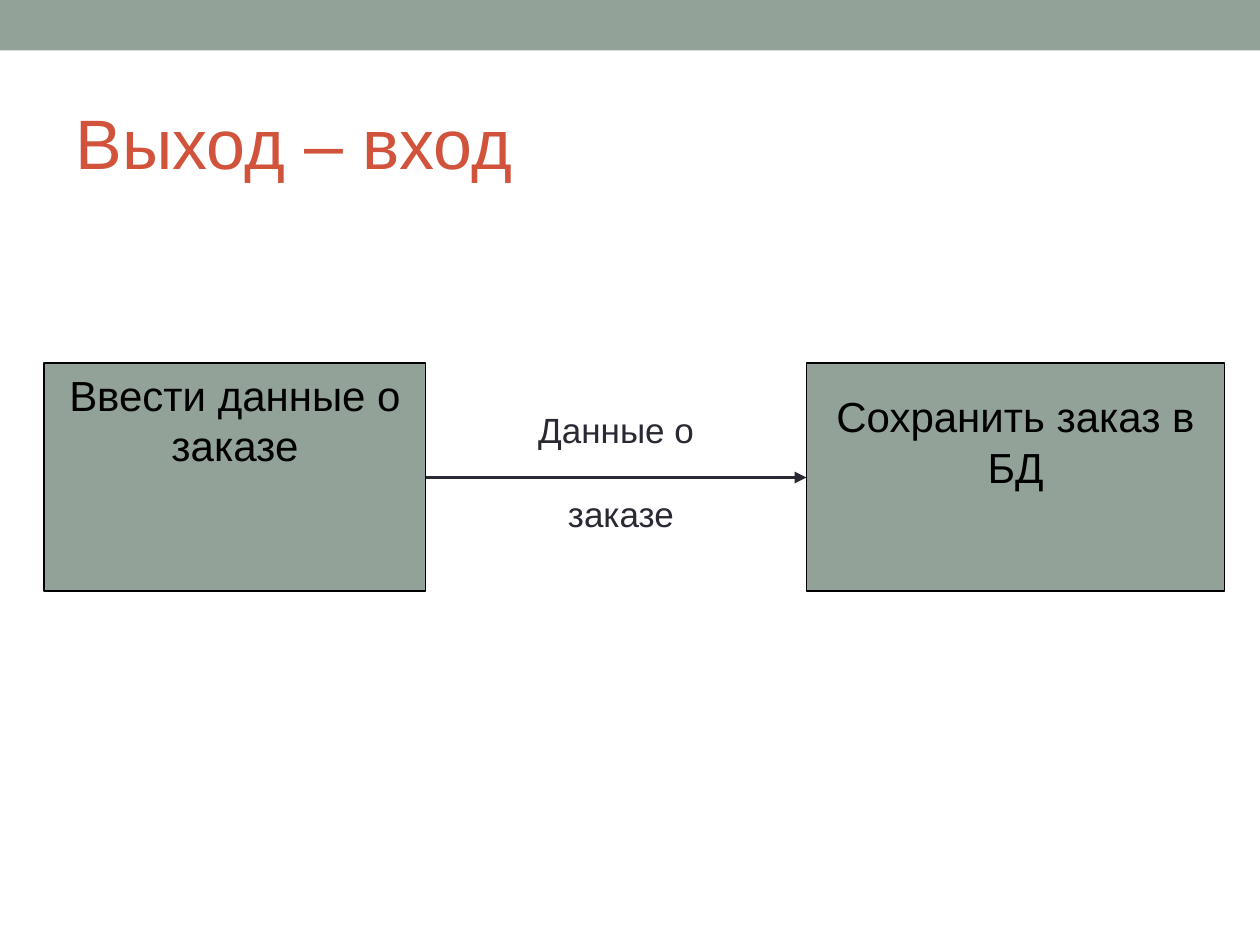
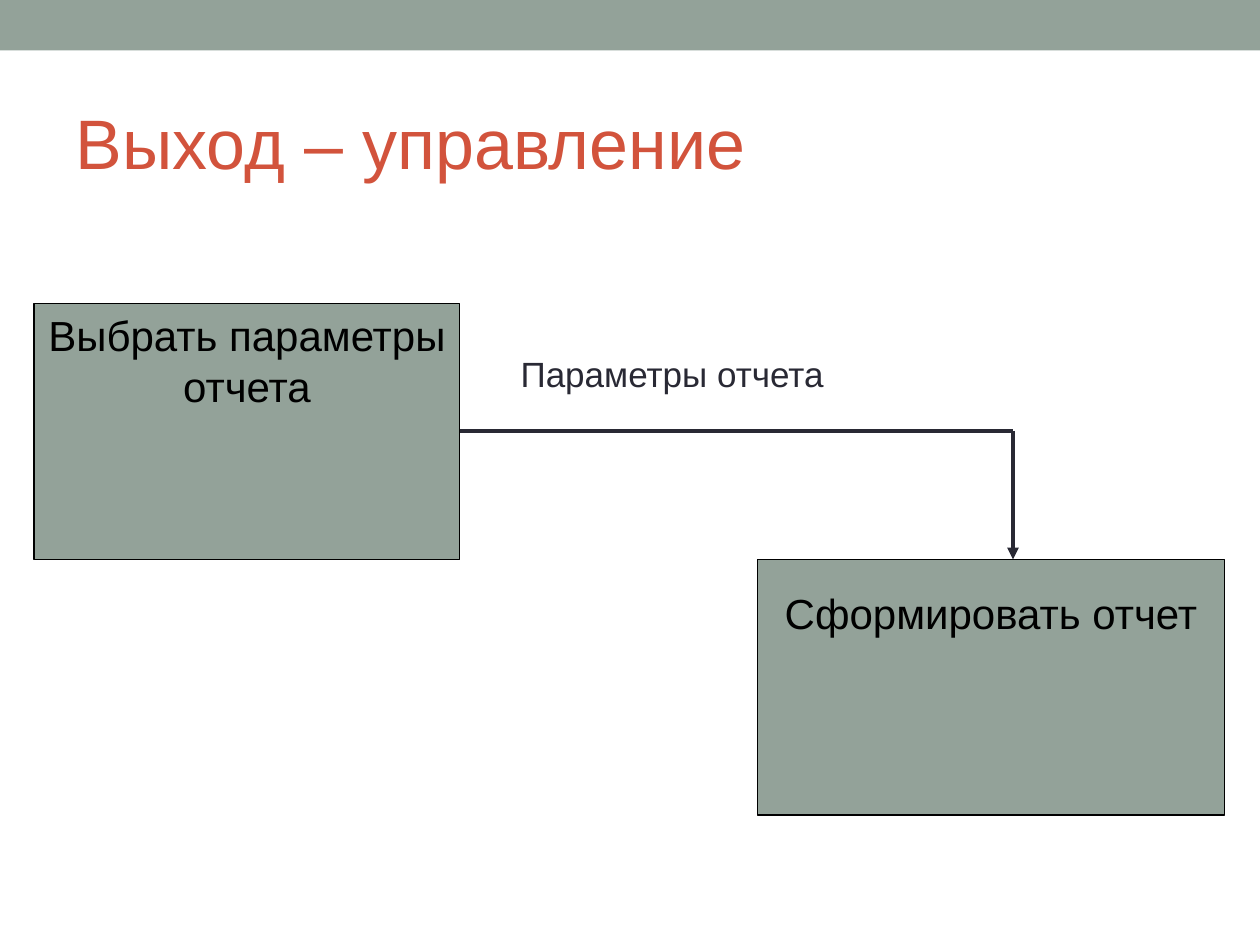
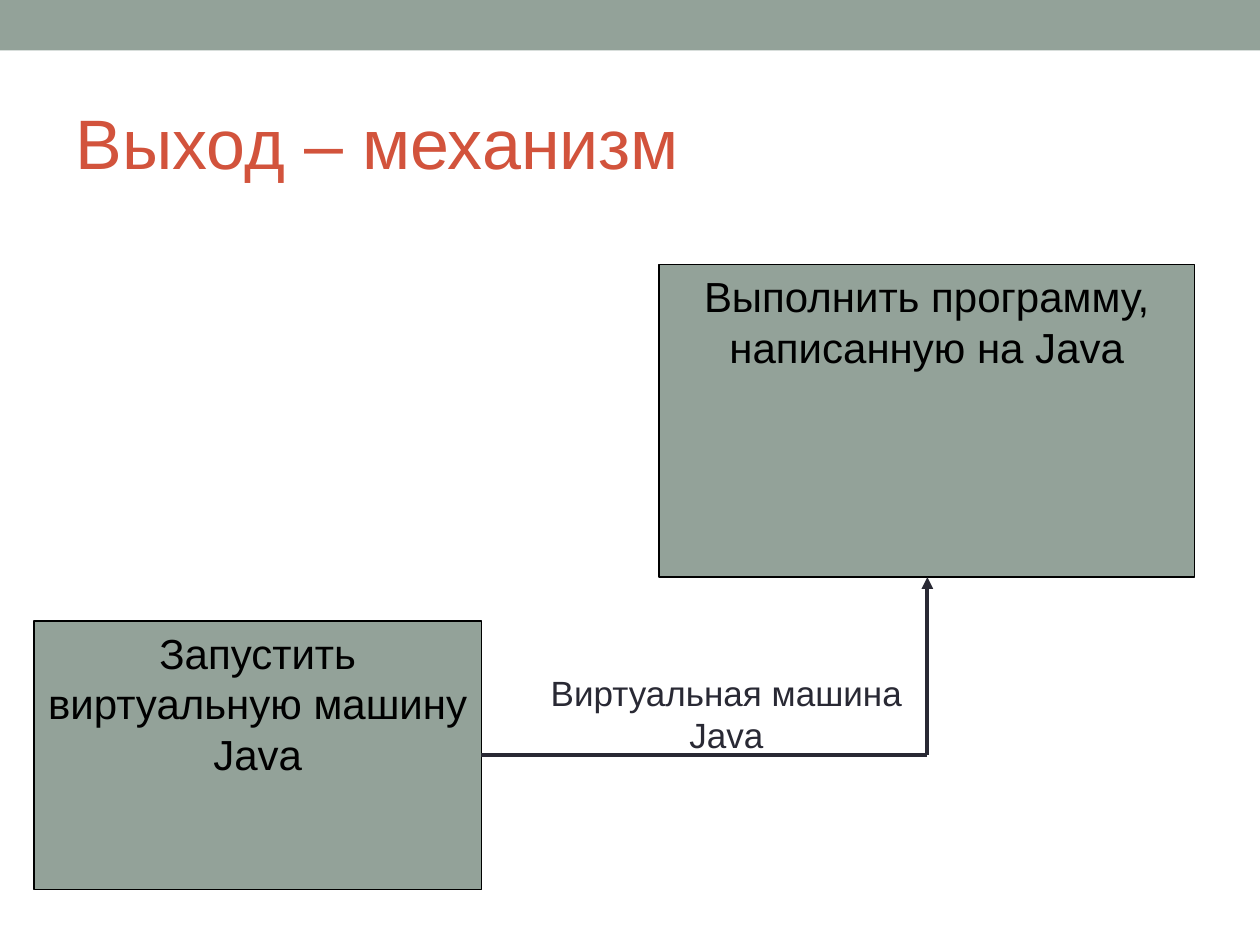
"""Build three slides on the ways one activity's output feeds another."""
from dataclasses import dataclass
from itertools import pairwise

from lxml import etree
from pptx import Presentation
from pptx.dml.color import RGBColor
from pptx.enum.shapes import MSO_CONNECTOR, MSO_SHAPE
from pptx.enum.text import MSO_ANCHOR, PP_ALIGN
from pptx.oxml.ns import qn
from pptx.util import Emu, Pt

RECTANGLE = MSO_SHAPE.RECTANGLE
STRAIGHT = MSO_CONNECTOR.STRAIGHT
LEFT, CENTER = PP_ALIGN.LEFT, PP_ALIGN.CENTER
TOP, MIDDLE = MSO_ANCHOR.TOP, MSO_ANCHOR.MIDDLE

EMU_PER_PX = 9144
SLIDE_WIDTH, SLIDE_HEIGHT = 1000, 750
TITLE_ONLY = 5
BAND_ID = 99
FONT = "Arial"
COLORS = {
    "sage": "93A299",
    "title": "D2533C",
    "ink": "292934",
    "black": "000000",
}


@dataclass(frozen=True)
class Area:
    """A rectangle in px."""

    left: int
    top: int
    width: int
    height: int


@dataclass(frozen=True)
class Activity:
    """A box with the name of an activity."""

    name: str
    area: Area
    inset_top: int = 5


@dataclass(frozen=True)
class Flow:
    """A labelled arrow through points in px."""

    lines: tuple[str, ...]
    area: Area
    route: tuple[tuple[int, int], ...]


@dataclass(frozen=True)
class Relation:
    """One slide: a title, two activities and the flow between them."""

    title: str
    activities: tuple[Activity, Activity]
    flow: Flow


TITLE_AREA = Area(50, 58, 900, 108)
BAND_AREA = Area(0, 0, SLIDE_WIDTH, 40)

RELATIONS = (
    Relation(
        "Выход – вход",
        (
            Activity("Ввести данные о заказе", Area(35, 288, 303, 181)),
            Activity("Сохранить заказ в БД", Area(640, 288, 332, 181), 22),
        ),
        Flow(("Данные о", " заказе"), Area(368, 319, 242, 121), ((338, 379), (640, 379))),
    ),
    Relation(
        "Выход – управление",
        (
            Activity("Выбрать параметры отчета", Area(27, 241, 338, 203)),
            Activity("Сформировать отчет", Area(601, 444, 371, 203), 22),
        ),
        Flow(
            ("Параметры отчета",),
            Area(331, 275, 405, 101),
            ((365, 342), (804, 342), (804, 444)),
        ),
    ),
    Relation(
        "Выход – механизм",
        (
            Activity("Запустить виртуальную машину Java", Area(27, 493, 355, 213)),
            Activity("Выполнить программу, написанную на Java", Area(523, 210, 425, 248)),
        ),
        Flow(
            ("Виртуальная машина Java",),
            Area(417, 528, 319, 142),
            ((382, 599), (736, 599), (736, 458)),
        ),
    ),
)


def px(length: int) -> Emu:
    """Turn px into EMU."""
    return Emu(length * EMU_PER_PX)


def box(area: Area) -> tuple[Emu, Emu, Emu, Emu]:
    """Give the left, top, width and height of an area in EMU."""
    return px(area.left), px(area.top), px(area.width), px(area.height)


def color(key: str) -> RGBColor:
    """Look up a colour of the palette."""
    return RGBColor.from_string(COLORS[key])


def write(holder, *lines: str, size: int, ink: str, align=CENTER, anchor=TOP,
          inset_top: int = 5, gap: int = 0) -> None:
    """Write each line as a paragraph, with a gap in points between them."""
    frame = holder.text_frame
    frame.word_wrap = True
    frame.vertical_anchor = anchor
    frame.margin_left = frame.margin_right = px(10)
    frame.margin_top, frame.margin_bottom = px(inset_top), px(5)
    for index, line in enumerate(lines):
        paragraph = frame.add_paragraph() if index else frame.paragraphs[0]
        paragraph.alignment = align
        paragraph.space_before = Pt(gap if index else 0)
        run = paragraph.add_run()
        run.text = line
        run.font.name = FONT
        run.font.size = Pt(size)
        run.font.color.rgb = color(ink)


def draw_rectangle(slide, area: Area, outlined: bool = True):
    """Draw a sage rectangle, with a thin black outline if asked."""
    rectangle = slide.shapes.add_shape(RECTANGLE, *box(area))
    rectangle.shadow.inherit = False
    rectangle.fill.solid()
    rectangle.fill.fore_color.rgb = color("sage")
    if outlined:
        rectangle.line.color.rgb = color("black")
        rectangle.line.width = Pt(0.75)
    else:
        rectangle.line.fill.background()
    return rectangle


def draw_segment(slide, start: tuple[int, int], end: tuple[int, int], arrow: bool) -> None:
    """Draw one straight part of a flow."""
    segment = slide.shapes.add_connector(STRAIGHT, *map(px, start + end))
    segment.line.color.rgb = color("ink")
    segment.line.width = Pt(2.25)
    if arrow:
        etree.SubElement(segment.line._get_or_add_ln(), qn("a:tailEnd"), type="triangle")
    etree.SubElement(segment.element.spPr, qn("a:effectLst"))


def draw_flow(slide, flow: Flow) -> None:
    """Draw the route of a flow and its label."""
    for start, end in pairwise(flow.route):
        draw_segment(slide, start, end, arrow=end == flow.route[-1])
    label = slide.shapes.add_textbox(*box(flow.area))
    write(label, *flow.lines, size=20, ink="ink", gap=24)


def draw_relation(slide, relation: Relation) -> None:
    """Fill one slide."""
    title = slide.shapes.title
    title.left, title.top, title.width, title.height = box(TITLE_AREA)
    write(title, relation.title, size=40, ink="title", align=LEFT, anchor=MIDDLE)
    for activity in relation.activities:
        rectangle = draw_rectangle(slide, activity.area)
        write(rectangle, activity.name, size=24, ink="black", inset_top=activity.inset_top)
    draw_flow(slide, relation.flow)


def add_master_band(prs, slide) -> None:
    """Draw the top band and hand it over to the slide master."""
    band = draw_rectangle(slide, BAND_AREA, outlined=False)
    band.element.nvSpPr.cNvPr.set("id", str(BAND_ID))
    prs.slide_master.shapes.element.insert(2, band.element)


def main() -> None:
    """Build and save the presentation."""
    prs = Presentation()
    prs.slide_width, prs.slide_height = px(SLIDE_WIDTH), px(SLIDE_HEIGHT)
    slides = [prs.slides.add_slide(prs.slide_layouts[TITLE_ONLY]) for _ in RELATIONS]
    add_master_band(prs, slides[0])
    for slide, relation in zip(slides, RELATIONS):
        draw_relation(slide, relation)
    prs.save("out.pptx")


if __name__ == "__main__":
    main()
